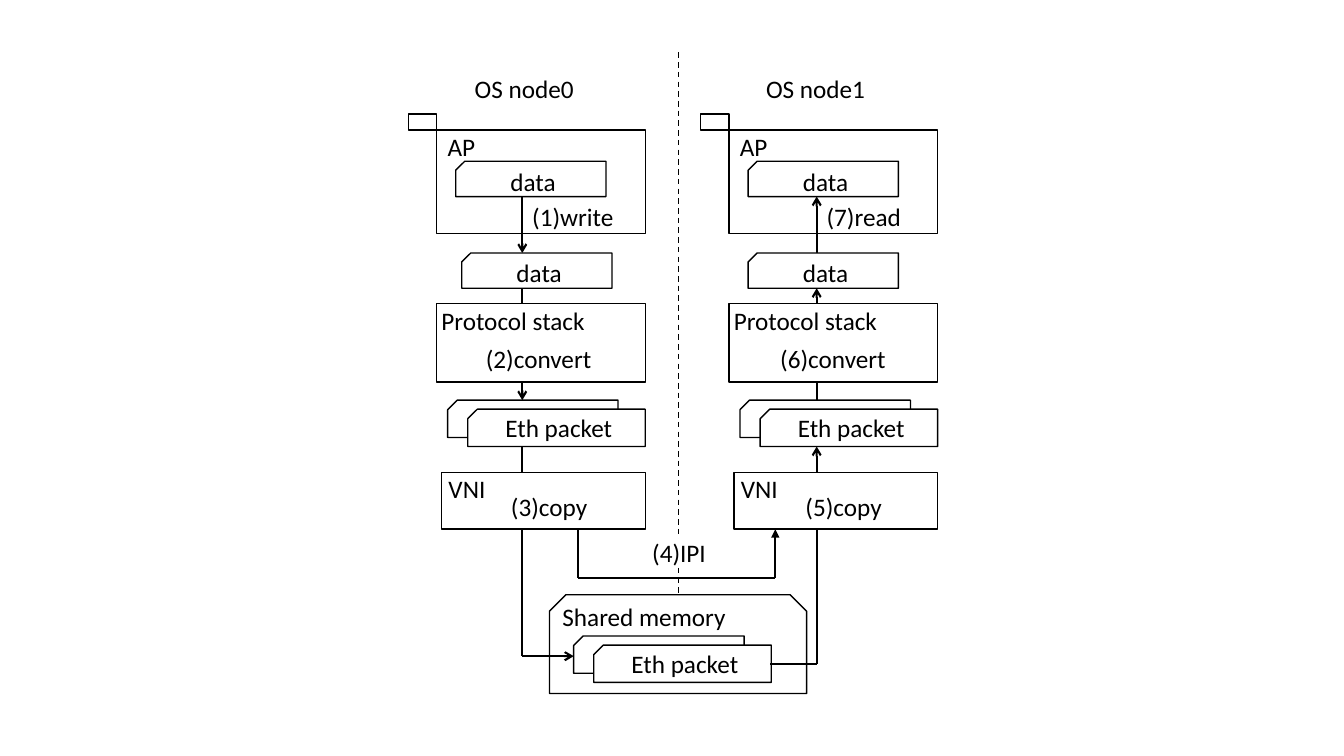
import dataclasses
import pptx
import pptx.util
import pptx.dml.color
import pptx.enum.dml
import pptx.enum.shapes
import pptx.enum.text
import pptx.oxml.ns
from lxml import etree

SHAPE = pptx.enum.shapes.MSO_SHAPE
TEXT = pptx.enum.text


@dataclasses.dataclass
class Theme:
    ink: pptx.dml.color.RGBColor = pptx.dml.color.RGBColor(0, 0, 0)
    paper: pptx.dml.color.RGBColor = pptx.dml.color.RGBColor(255, 255, 255)
    font: str = "Calibri"
    size: pptx.util.Length = pptx.util.Pt(18)
    outline: pptx.util.Length = pptx.util.Pt(1)
    flow: pptx.util.Length = pptx.util.Pt(1.5)


theme = Theme()
CELL = pptx.util.Inches(0.1)

prs = pptx.Presentation()
prs.slide_width = pptx.util.Inches(13.33)
prs.slide_height = pptx.util.Inches(7.5)
slide = prs.slides.add_slide(prs.slide_layouts[6])


def add_box(kind, col, row, cols, rows, text="", spacing=None, outlined=True):
    place = [round(v * CELL) for v in (col, row, cols, rows)]
    if kind is None:
        sp = slide.shapes.add_textbox(*place)
    else:
        sp = slide.shapes.add_shape(kind, *place)
        sp.shadow.inherit = False
        sp.fill.solid()
        sp.fill.fore_color.rgb = theme.paper
        if outlined:
            sp.line.color.rgb = theme.ink
            sp.line.width = theme.outline
        else:
            sp.line.fill.background()
    if kind == SHAPE.SNIP_1_RECTANGLE:
        sp.adjustments[0] = 0.255
        sp.element.spPr.find(pptx.oxml.ns.qn("a:xfrm")).set("flipH", "1")
    if text:
        tf = sp.text_frame
        tf.text = text
        tf.word_wrap = kind is not None
        p = tf.paragraphs[0]
        p.font.name = theme.font
        p.font.size = theme.size
        p.font.color.rgb = theme.ink
        if kind is None:
            tf.auto_size = TEXT.MSO_AUTO_SIZE.SHAPE_TO_FIT_TEXT
        else:
            tf.vertical_anchor = TEXT.MSO_ANCHOR.MIDDLE
            p.alignment = TEXT.PP_ALIGN.CENTER
        if spacing:
            p.line_spacing = spacing


def add_line(col1, row1, col2, row2, arrow=None, width=theme.flow, dash=None):
    cx = slide.shapes.add_connector(
        pptx.enum.shapes.MSO_CONNECTOR.STRAIGHT,
        *[round(v * CELL) for v in (col1, row1, col2, row2)])
    cx.line.color.rgb = theme.ink
    cx.line.width = width
    if dash:
        cx.line.dash_style = dash
    if arrow:
        ln = cx.line._get_or_add_ln()
        etree.SubElement(ln, pptx.oxml.ns.qn("a:tailEnd")).set("type", arrow)
    etree.SubElement(cx.element.spPr, pptx.oxml.ns.qn("a:effectLst"))


SNIP = SHAPE.SNIP_1_RECTANGLE
nodes = [
    ("OS node0", 43.3, 46.1, 51.8, 45.8, 65.1, "(1)write", "(2)convert", "(3)copy"),
    ("OS node1", 72.3, 75.0, 81.0, 74.2, 65.9, "(7)read", "(6)convert", "(5)copy"),
]
sending = nodes[0]

add_line(67.3, 5.2, 67.3, 61.1, width=theme.outline,
         dash=pptx.enum.dml.MSO_LINE.DASH)
add_box(SHAPE.SNIP_2_SAME_RECTANGLE, 54.5, 59, 25.5, 9.8)
add_box(None, 54.8, 59.2, 18.4, 4, "Shared memory")

packet_stacks = [(56.9, 63.1)]
for node in nodes:
    name, left, name_col, axis, data_col, memory_row, access, convert, copy = node
    add_box(None, name_col, 6.8, 12, 4, name)
    add_box(SHAPE.RECTANGLE, left - 2.8, 11.3, 2.8, 1.6)
    add_box(SHAPE.RECTANGLE, left, 12.9, 20.7, 10.3)
    add_box(None, left + 0.1, 12.5, 4.8, 4, "AP")
    flows = [(19.5, 25.1, "arrow"), (28.6, 39.7, "arrow"),
             (44.3, memory_row, None if node is sending else "arrow")]
    for start, end, arrow in flows:
        if node is not sending:
            start, end = end, start
        add_line(axis, start, axis, end, arrow)
    add_box(SNIP, left + 1.9, 16, 14.9, 3.5, "data")
    add_box(SNIP, data_col, 25.1, 14.9, 3.5, "data")
    add_box(SHAPE.RECTANGLE, left, 30.1, 20.7, 7.8)
    add_box(None, left - 0.5, 29.8, 16.3, 4, "Protocol stack")
    add_box(SHAPE.RECTANGLE, left + 0.5, 46.9, 20.2, 5.6)
    add_box(None, left + 0.2, 46.5, 5.7, 4, "VNI")
    steps = [(access, 0, 19.5, 10.2 if node is sending else 9.5),
             (convert, -4.6, 33.6, 12.6), (copy, -2.1, 48.3, 9.7)]
    for step, shift, row, cols in steps:
        add_box(None, axis + shift, row, cols, 4, step)
    packet_stacks.append((left + 1.1, 39.7))

for col, row in packet_stacks:
    add_box(SNIP, col, row, 16.9, 3.7)
    add_box(SNIP, col + 2, row + 0.9, 17.6, 3.7, "Eth packet", theme.size)

add_line(51.8, 65.1, 56.9, 65.1, "arrow")
add_line(76.4, 65.9, 81, 65.9)

add_box(SHAPE.RECTANGLE, 65.8, 53.4, 3, 2.9, outlined=False)
add_box(None, 63.7, 52.8, 7.4, 4, "(4)IPI")
add_line(57.3, 52.5, 57.3, 57.3)
add_line(57.3, 57.3, 76.9, 57.3)
add_line(76.9, 57.3, 76.9, 52.5, "triangle")

prs.save("out.pptx")
